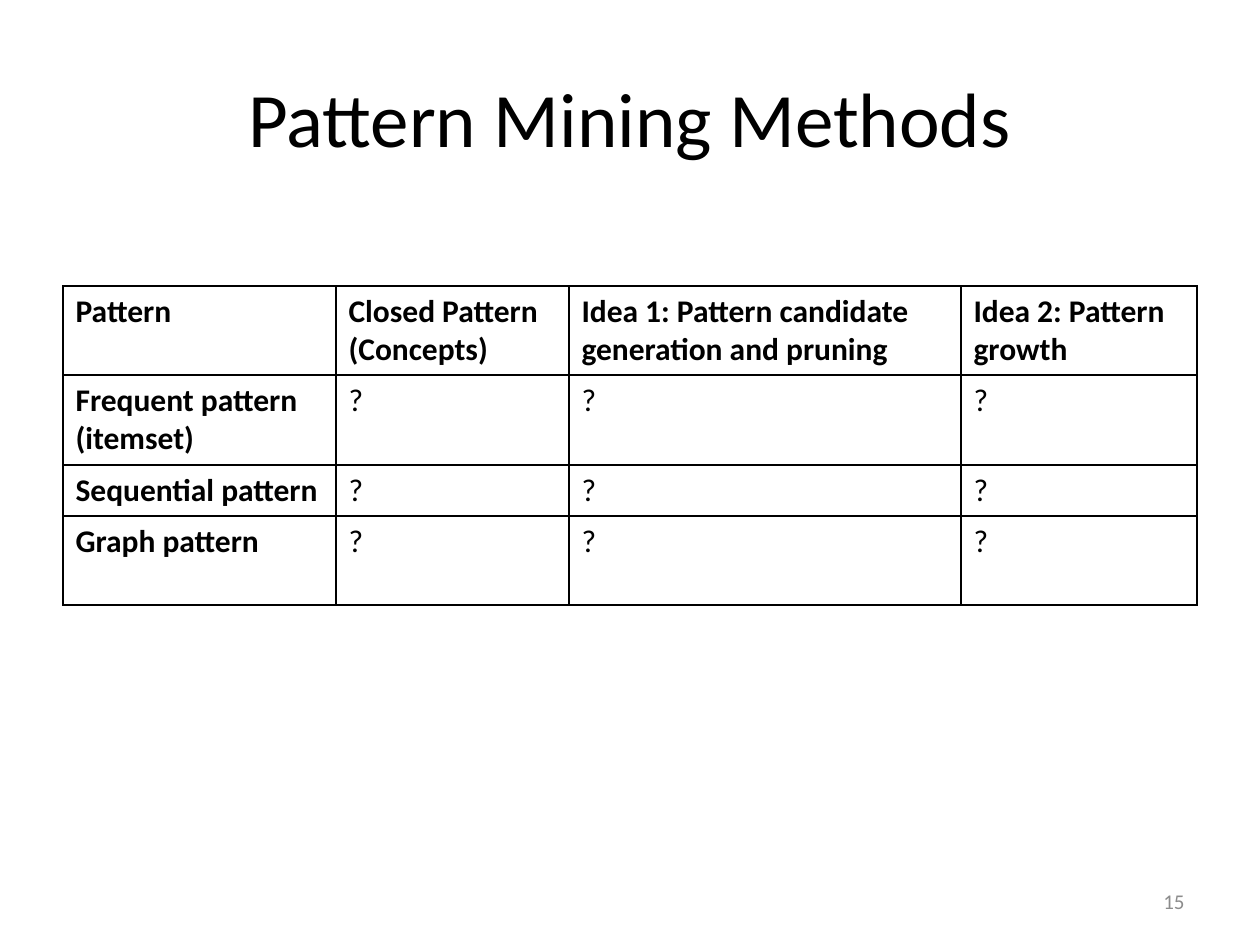
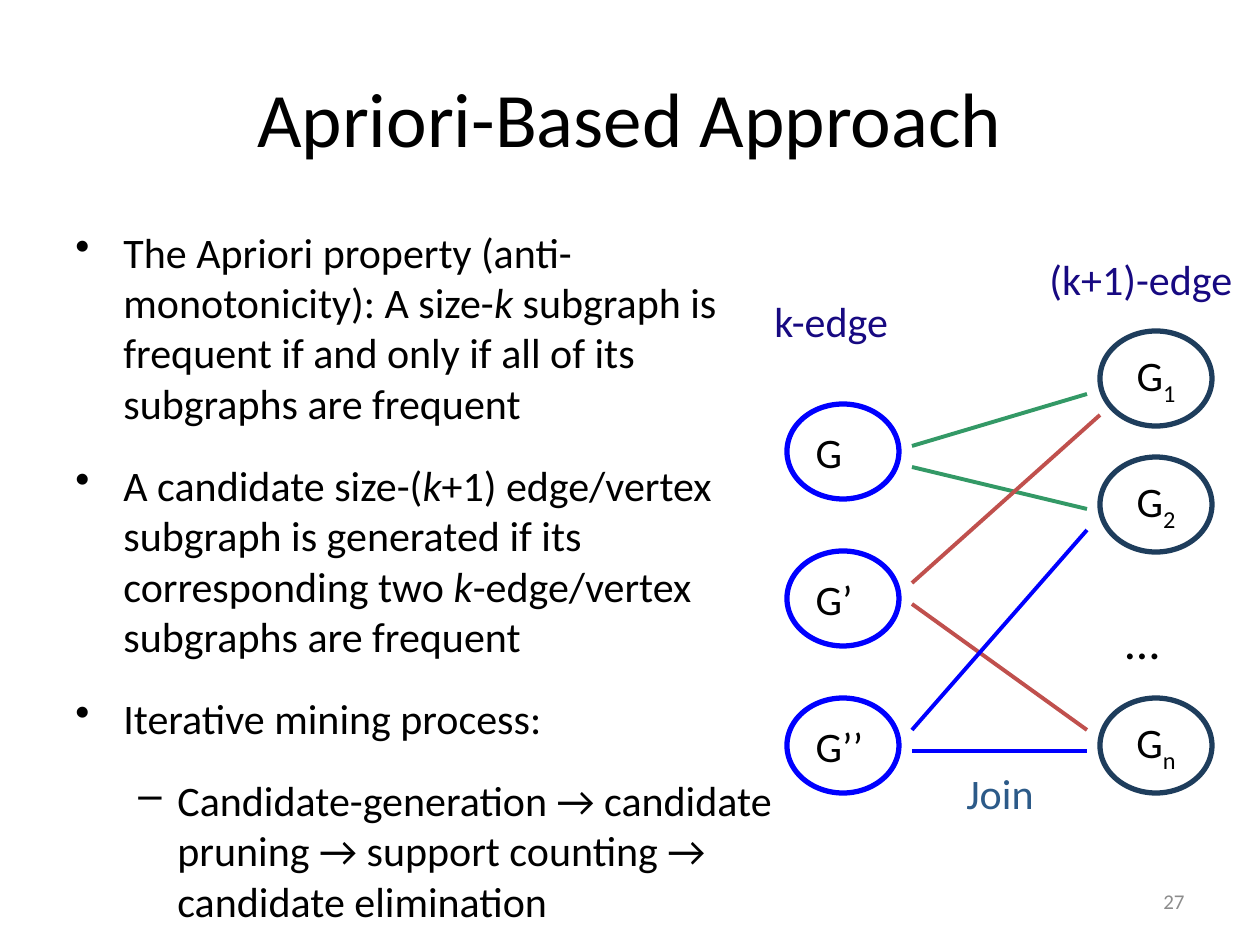
import pptx
import pptx.dml.color
import pptx.enum.shapes
import pptx.enum.text
import pptx.oxml
import pptx.oxml.ns
import pptx.util

EMU_PER_PX = 914400 / 126
FONT = "Calibri"
BLACK, WHITE, GREY = "000000", "FFFFFF", "8C8C8C"
BLUE, NAVY, GREEN, RED = "0000FF", "1E3D5C", "339966", "C0504D"
LABEL, JOIN = "170981", "2C5A88"
ALIGN = pptx.enum.text.PP_ALIGN
ANCHOR = pptx.enum.text.MSO_ANCHOR
FIT = pptx.enum.text.MSO_AUTO_SIZE.SHAPE_TO_FIT_TEXT

TITLE_BOX = (63, 38, 1134, 157)
NUMBER_BOX = (903, 876, 294, 50)
TABLE_BOX = (63, 286, 1134, 319)
BODY_BOX = (63, 220, 722, 706)
DIAGRAM_ORIGIN = (762, 247)

COLUMN_WIDTHS = (273, 233, 392, 236)
ROW_HEIGHTS = (89, 90, 51, 89)
METHOD_ROWS = (
    ("Pattern", "Closed Pattern (Concepts)",
     "Idea 1: Pattern candidate generation and pruning", "Idea 2: Pattern growth"),
    ("Frequent pattern (itemset)", "?", "?", "?"),
    ("Sequential pattern", "?", "?", "?"),
    ("Graph pattern", "?", "?", "?"),
)

ITALIC, SUBSCRIPT = {"italic": True}, {"baseline": -25000}
# Each bullet: level, then its spans as text with optional format.
BULLETS = (
    (0, [("The Apriori property (anti-monotonicity): A size-",), ("k ", ITALIC),
         ("subgraph is frequent if and only if all of its subgraphs are frequent",)]),
    (0, [("A candidate size-(",), ("k", ITALIC),
         ("+1) edge/vertex subgraph is generated if its corresponding two ",),
         ("k", ITALIC), ("-edge/vertex subgraphs are frequent",)]),
    (0, [("Iterative mining process:",)]),
    (1, [("Candidate-generation → candidate pruning → support counting"
          " → candidate elimination",)]),
)
# Per level: mark, left margin and hanging indent in px.
BULLET_STYLES = (("•", 48, 48), ("–", 102, 39))

NODE_SIZE = (112, 95)
NODE_STEP = 147
FIRST_NODE_TOP = 157
LEFT_NODE_X, RIGHT_NODE_X = 25, 338
LEFT_NODES = ("G", "G’", "G’’")
RIGHT_NODES = (("1", 84), ("2", 210), ("n", 451))
JOIN_LINES = (
    ((150, 199), (325, 147), GREEN),
    ((150, 357), (325, 483), RED),
    ((150, 220), (325, 262), GREEN),
    ((150, 336), (338, 168), RED),
    ((150, 504), (325, 504), BLUE),
    ((150, 483), (325, 283), BLUE),
)
DIAGRAM_LABELS = (
    ("…", (351, 357, 64, 72), 28, BLACK),
    ("k-edge", (0, 42, 150, 63), 24, LABEL),
    ("(k+1)-edge", (275, 0, 222, 63), 24, LABEL),
    ("Join", (192, 514, 96, 63), 24, JOIN),
)


def px(length):
    return pptx.util.Emu(round(length * EMU_PER_PX))


def rgb(value):
    return pptx.dml.color.RGBColor.from_string(value)


def shifted(box, origin):
    """Move a box or point given relative to origin onto the page."""
    return (box[0] + origin[0], box[1] + origin[1], *box[2:])


def set_all(target, values):
    for name, value in values.items():
        setattr(target, name, value)


def add_span(para, text, size, color=BLACK, baseline=None, **style):
    span = para.add_run()
    span.text = text
    set_all(span.font, {"name": FONT, "size": pptx.util.Pt(size), **style})
    span.font.color.rgb = rgb(color)
    if baseline:
        span.font._element.set("baseline", str(baseline))


def add_text(shapes, box, text, size, color=BLACK, align=ALIGN.LEFT, **frame_style):
    frame = shapes.add_textbox(*map(px, box)).text_frame
    set_all(frame, {"word_wrap": True, **frame_style})
    frame.paragraphs[0].alignment = align
    add_span(frame.paragraphs[0], text, size, color)


def add_page(deck, title, number):
    page = deck.slides.add_slide(deck.slide_layouts[6])
    add_text(page.shapes, TITLE_BOX, title, 44, align=ALIGN.CENTER,
             vertical_anchor=ANCHOR.MIDDLE)
    add_text(page.shapes, NUMBER_BOX, str(number), 12, GREY, ALIGN.RIGHT,
             vertical_anchor=ANCHOR.MIDDLE)
    return page


def add_cell_borders(cell):
    properties = cell._tc.get_or_add_tcPr()
    for index, side in enumerate(("lnL", "lnR", "lnT", "lnB")):
        properties.insert(index, pptx.oxml.parse_xml(
            f'<a:{side} {pptx.oxml.ns.nsdecls("a")} w="12700"><a:solidFill>'
            f'<a:srgbClr val="{BLACK}"/></a:solidFill></a:{side}>'))


def add_method_table(page, box):
    table = page.shapes.add_table(
        len(METHOD_ROWS), len(COLUMN_WIDTHS), *map(px, box)).table
    set_all(table, {"first_row": False, "horz_banding": False})
    for column, width in zip(table.columns, COLUMN_WIDTHS):
        column.width = px(width)
    for row_index, (row, height) in enumerate(zip(table.rows, ROW_HEIGHTS)):
        row.height = px(height)
        for column_index, cell in enumerate(row.cells):
            cell.fill.background()
            add_cell_borders(cell)
            add_span(cell.text_frame.paragraphs[0], METHOD_ROWS[row_index][column_index],
                     18, bold=row_index == 0 or column_index == 0)


def add_bullets(page, box):
    frame = page.shapes.add_textbox(*map(px, box)).text_frame
    frame.word_wrap = True
    for index, (level, spans) in enumerate(BULLETS):
        para = frame.add_paragraph() if index else frame.paragraphs[0]
        mark, margin, hanging = BULLET_STYLES[level]
        properties = para._p.get_or_add_pPr()
        properties.set("marL", str(px(margin)))
        properties.set("indent", str(-px(hanging)))
        properties.append(pptx.oxml.parse_xml(
            f'<a:buChar {pptx.oxml.ns.nsdecls("a")} char="{mark}"/>'))
        set_all(para, {"level": level, "space_after": pptx.util.Pt(6),
                       "space_before": pptx.util.Pt(12 if index else 0)})
        for text, *style in spans:
            add_span(para, text, 24, **(style[0] if style else {}))


def add_node(shapes, position, color, spans, align):
    node = shapes.add_shape(pptx.enum.shapes.MSO_SHAPE.OVAL,
                            *map(px, (*position, *NODE_SIZE)))
    node.shadow.inherit = False
    node.fill.solid()
    node.fill.fore_color.rgb = rgb(WHITE)
    node.line.color.rgb = rgb(color)
    node.line.width = pptx.util.Pt(3)
    set_all(node.text_frame, {"word_wrap": False, "vertical_anchor": ANCHOR.MIDDLE})
    para = node.text_frame.paragraphs[0]
    para.alignment = align
    for text, style in spans:
        add_span(para, text, 24, **style)


def add_join_line(shapes, start, end, color):
    line = shapes.add_connector(pptx.enum.shapes.MSO_CONNECTOR.STRAIGHT,
                                *map(px, (*start, *end)))
    line.line.color.rgb = rgb(color)
    line.line.width = pptx.util.Pt(2.25)
    line._element.spPr.append(pptx.oxml.parse_xml(
        f'<a:effectLst {pptx.oxml.ns.nsdecls("a")}/>'))


def add_join_diagram(page, origin):
    """Draw k-edge graphs joined into (k+1)-edge graphs, as one group."""
    shapes = page.shapes.add_group_shape().shapes
    for index, name in enumerate(LEFT_NODES):
        position = (LEFT_NODE_X, FIRST_NODE_TOP + index * NODE_STEP)
        add_node(shapes, shifted(position, origin), BLUE, [(name, {})], ALIGN.LEFT)
    for subscript, top in RIGHT_NODES:
        add_node(shapes, shifted((RIGHT_NODE_X, top), origin), NAVY,
                 [("G", {}), (subscript, SUBSCRIPT)], ALIGN.CENTER)
    for start, end, color in JOIN_LINES:
        add_join_line(shapes, shifted(start, origin), shifted(end, origin), color)
    for text, box, size, color in DIAGRAM_LABELS:
        add_text(shapes, shifted(box, origin), text, size, color,
                 word_wrap=False, auto_size=FIT)


def main():
    deck = pptx.Presentation()
    set_all(deck, {"slide_width": px(1260), "slide_height": px(945)})
    add_method_table(add_page(deck, "Pattern Mining Methods", 15), TABLE_BOX)
    approach = add_page(deck, "Apriori-Based Approach", 27)
    add_bullets(approach, BODY_BOX)
    add_join_diagram(approach, DIAGRAM_ORIGIN)
    deck.save("out.pptx")


if __name__ == "__main__":
    main()
